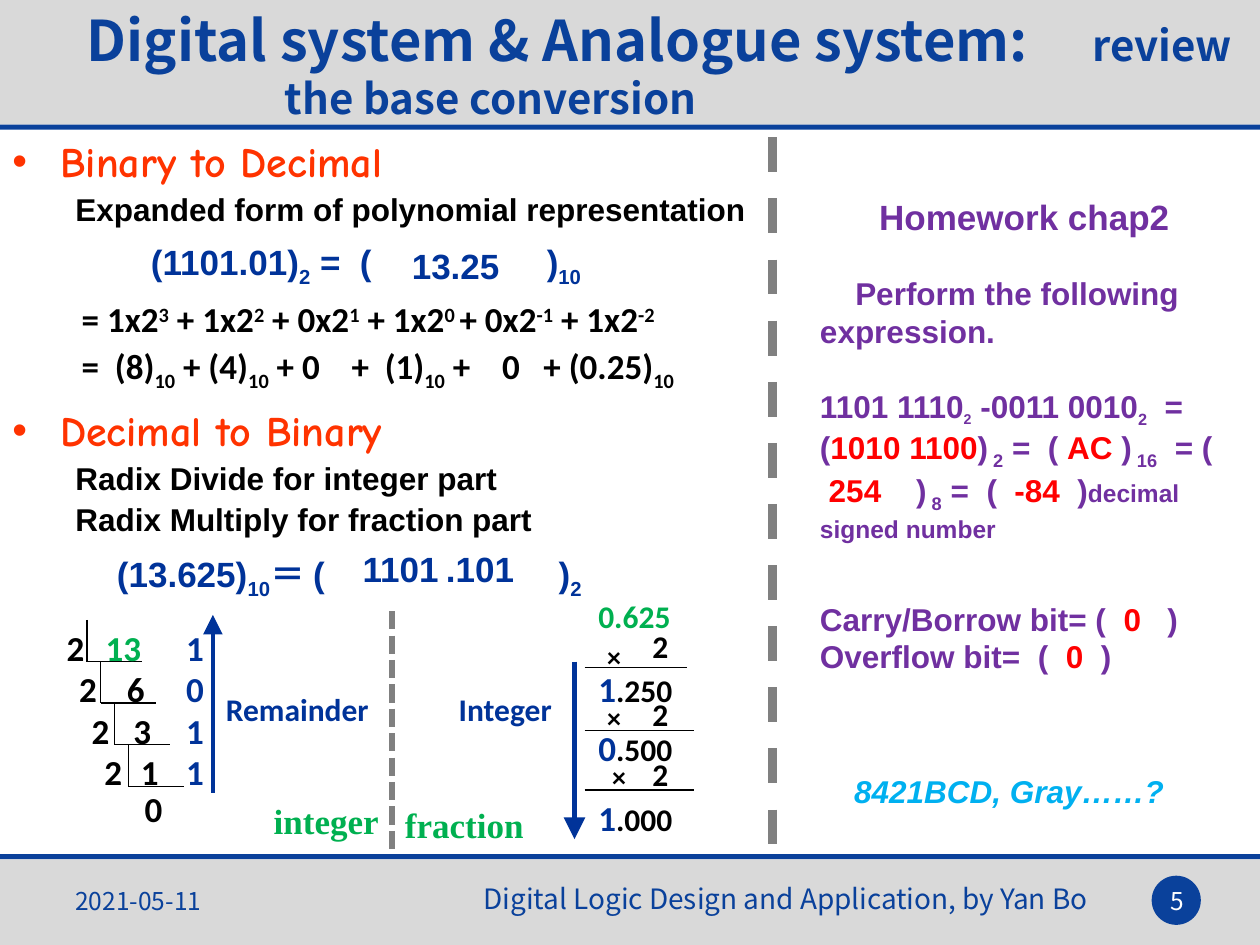
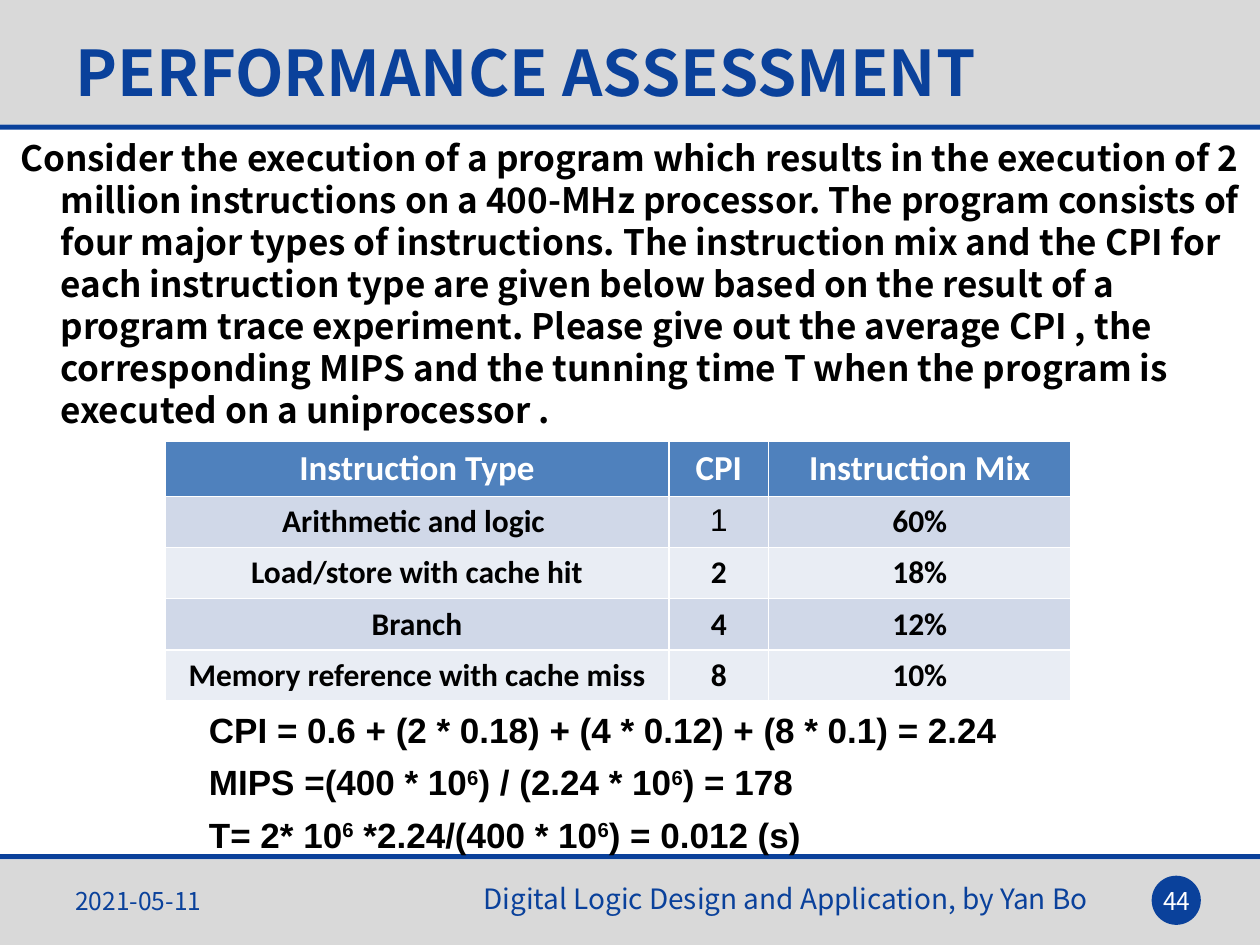
from pptx import Presentation
from pptx.dml.color import RGBColor
from pptx.enum.dml import MSO_LINE as Dash
from pptx.enum.shapes import MSO_CONNECTOR as Link, MSO_SHAPE as Form
from pptx.enum.text import MSO_ANCHOR as Anchor, MSO_AUTO_SIZE as Fit, PP_ALIGN as Align
from pptx.oxml.ns import qn
from pptx.util import Inches, Pt
from lxml.etree import SubElement

HUES = {
    "band": "D9D9D9", "brand": "0A419B", "navy": "003399", "orange": "FF3300",
    "green": "00B050", "purple": "7030A0", "red": "FF0000", "sky": "00B0F0",
    "gray": "808080", "black": "000000", "white": "FFFFFF",
    "head": "4F81BD", "odd": "D0D8E8", "even": "E9EDF4",
}
SANS, NOTO, CALI, COMIC, TIMES = (
    "Arial", "Noto Sans CJK SC", "Calibri", "Comic Neue", "Times New Roman")
MARKS = {
    "^": {"base": 30}, "_": {"base": -25}, "!": {"color": "red"},
    "~": {"size": 14}, "$": {"size": 16}, "*": {"size": 24},
    "@": {"size": 18, "color": "black"},
}


def hue(name):
    return RGBColor.from_string(HUES[name])


def write(par, text, size=18, color="black", font=SANS, bold=True, italic=False,
          align=Align.LEFT, space=None, before=0, left=0, indent=0,
          bullet=None, gaps=()):
    """Fill a paragraph with runs split at "|".

    Leading MARKS change a run's format, "#" is a space widened by the next
    of the gaps (points), and "/" is a line break.
    """
    par.alignment, par.space_before = align, Pt(before)
    if space:
        par.line_spacing = space
    props = par._p.get_or_add_pPr()
    props.set("marL", str(Inches(left)))
    props.set("indent", str(Inches(indent)))
    if bullet:
        SubElement(props, qn("a:buFont"), typeface=SANS)
        SubElement(props, qn("a:buChar"), char=bullet)
    else:
        SubElement(props, qn("a:buNone"))
    widths = iter(gaps)
    for piece in text.replace("#", "|#|").split("|"):
        if piece == "/":
            par.add_line_break()
        if piece in ("", "/"):
            continue
        look = {"size": size, "color": color, "base": 0}
        while piece[0] in MARKS:
            look.update(MARKS[piece[0]])
            piece = piece[1:]
        run = par.add_run()
        run.text = " " if piece == "#" else piece
        face = run.font
        face.name, face.size = font, Pt(look["size"])
        face.bold, face.italic = bold, italic
        face.color.rgb = hue(look["color"])
        if look["base"]:
            face._element.set("baseline", str(look["base"] * 1000))
        if piece == "#":
            face._element.set("spc", str(round(next(widths) * 100)))


class Deck:
    def __init__(self):
        self.show = Presentation()
        self.show.slide_width, self.show.slide_height = Inches(10), Inches(7.5)
        self.page = None

    def start(self, layout, number):
        """Add a slide with the bands and the footer behind its placeholders."""
        self.page = self.show.slides.add_slide(self.show.slide_layouts[layout])
        self.block(0, 6.82, 10, 0.68, "band")
        self.block(0, 0, 10, 0.99, "band")
        self.block(9.14, 6.95, 0.39, 0.39, "brand", Form.OVAL)
        self.block(0, 0.99, 10, 0.04, "brand")
        self.block(0, 6.78, 10, 0.04, "brand")
        foot = {"font": NOTO, "bold": False, "color": "brand"}
        self.text(3.74, 6.95, 5.28, 0.55,
                  "Digital Logic Design and Application, by Yan Bo", size=16, **foot)
        foot.update(size=14, anchor=Anchor.MIDDLE)
        self.text(0.5, 6.95, 2.33, 0.4, "2021-05-11", **foot)
        foot.update(color="white", align=Align.CENTER)
        self.text(9.1, 6.95, 0.48, 0.4, str(number), **foot)
        for holder in list(self.page.placeholders):
            self.page.shapes._spTree.append(holder._element)

    def block(self, x, y, w, h, fill, form=Form.RECTANGLE):
        shape = self.page.shapes.add_shape(form, Inches(x), Inches(y), Inches(w), Inches(h))
        shape.shadow.inherit = False
        shape.fill.solid()
        shape.fill.fore_color.rgb = hue(fill)
        shape.line.fill.background()

    def fill(self, shape, lines, anchor=Anchor.TOP, wrap=True, **form):
        """Write lines, each a text or a (text, format) pair, into a shape."""
        frame = shape.text_frame
        frame.word_wrap, frame.auto_size = wrap, Fit.NONE
        frame.vertical_anchor = anchor
        for i, line in enumerate([lines] if isinstance(lines, str) else lines):
            text, own = (line, {}) if isinstance(line, str) else line
            par = frame.add_paragraph() if i else frame.paragraphs[0]
            write(par, text, **{**form, **own})

    def text(self, x, y, w, h, lines, **form):
        box = self.page.shapes.add_textbox(Inches(x), Inches(y), Inches(w), Inches(h))
        self.fill(box, lines, **form)

    def holder(self, index, x, y, w, h, lines, **form):
        """Move and fill a placeholder of the layout."""
        shape = self.page.placeholders[index]
        shape.left, shape.top = Inches(x), Inches(y)
        shape.width, shape.height = Inches(w), Inches(h)
        self.fill(shape, lines, font=NOTO, **form)

    def title(self, x, y, w, h, text, size, **form):
        self.holder(0, x, y, w, h, text, size=size, color="brand",
                    anchor=Anchor.MIDDLE, **form)

    def line(self, x1, y1, x2, y2, color="black", width=0.75, dash=None, arrow=False):
        link = self.page.shapes.add_connector(
            Link.STRAIGHT, Inches(x1), Inches(y1), Inches(x2), Inches(y2))
        link.line.color.rgb, link.line.width = hue(color), Pt(width)
        if dash:
            link.line.dash_style = dash
        props = link._element.spPr
        if arrow:
            SubElement(props.find(qn("a:ln")), qn("a:tailEnd"),
                       type="triangle", w="lg", len="lg")
        SubElement(props, qn("a:effectLst"))

    def table(self, x, y, widths, heights, rows):
        grid = self.page.shapes.add_table(
            len(rows), len(widths), Inches(x), Inches(y),
            Inches(sum(widths)), Inches(sum(heights))).table
        for col, width in zip(grid.columns, widths):
            col.width = Inches(width)
        for r, (row, height) in enumerate(zip(rows, heights)):
            grid.rows[r].height = Inches(height)
            for c, value in enumerate(row):
                cell = grid.cell(r, c)
                cell.fill.solid()
                cell.fill.fore_color.rgb = hue(
                    "head" if r == 0 else "odd" if r % 2 else "even")
                plain = (r, c) == (1, 1)
                write(cell.text_frame.paragraphs[0], value, align=Align.CENTER,
                      size=18 if r else 20, color="black" if r else "white",
                      font=SANS if plain else CALI, bold=not plain)


def divide(deck):
    """Repeated division by two, with the remainders read upwards."""
    digit = {"size": 20, "font": CALI}
    steps = [("13", 0.74, "1"), ("6", 0.91, "0"), ("3", 0.96, "1"), ("1", 1.02, "1")]
    for i, (value, left, rest) in enumerate(steps):
        x, y = 0.69 + 0.11 * i, 4.92 + 0.33 * i
        deck.line(x, y, x, y + 0.33)
        deck.line(x, y + 0.33, x + 0.44, y + 0.33)
        deck.text(0.43 + 0.1 * i, y, 0.5, 0.44, "2", **digit)
        deck.text(left, y, 0.63, 0.44, value, color="black" if i else "green", **digit)
        deck.text(1.38, y, 0.5, 0.44, rest, color="navy", **digit)
    deck.text(1.05, 6.2, 0.5, 0.44, "0", **digit)
    deck.line(1.69, 6.29, 1.69, 4.88, "navy", 2.25, arrow=True)


def multiply(deck):
    """Repeated doubling, with the integer parts read downwards."""
    deck.text(4.65, 4.69, 0.78, 0.4, "0.625", font=CALI, color="green")
    steps = [(4.93, 4.72, 5.03, 5.3, 5.45, 5.25, "1|@.250"),
             (5.47, 4.72, 5.51, 5.8, 5.51, 5.72, "0|@.500"),
             (5.94, 4.76, 5.98, 6.27, 5.51, 6.27, "1|@.000")]
    for two, left, times, rule, end, top, value in steps:
        deck.text(5.08, two, 0.5, 0.4, "2", font=CALI)
        deck.text(left, times, 0.49, 0.37, "×", size=16, font=CALI)
        deck.line(4.64, rule, end, rule)
        deck.text(4.65, top, 0.99, 0.44, value, size=20, font=CALI, color="navy")
    deck.line(4.56, 5.25, 4.56, 6.66, "navy", 2.5, arrow=True)


def bases(deck):
    deck.start(5, 5)
    deck.title(0.59, 0.05, 9.41, 0.92,
               "Digital system & Analogue system:#*review the base conversion".replace(
                   "#*", "#|*"), 32, left=1.57, indent=-1.57, gaps=[29])

    head = {"size": 24, "font": COMIC, "color": "orange", "bullet": "•",
            "left": 0.38, "indent": -0.38}
    sub = {"left": 0.5}
    deck.text(0, 0.99, 6.34, 0.88, [
        ("Binary to Decimal", head),
        ("Expanded form of polynomial representation", sub)], space=1.1)
    deck.text(0, 3.12, 5.87, 1.21, [
        ("Decimal to Binary", head),
        ("Radix Divide for integer part", sub),
        ("Radix Multiply for fraction part", sub)], space=1.1)

    blue = {"size": 20, "color": "navy"}
    deck.text(1.1, 1.86, 3.74, 0.44, "(1101.01)|_2| =#(#)|_10", gaps=[5.5, 94.5], **blue)
    deck.text(3.17, 1.89, 0.9, 0.44, "13.25", wrap=False, **blue)
    deck.text(0.55, 2.28, 5.39, 0.84, [
        "= 1x2|^3| + 1x2|^2| + 0x2|^1| + 1x2|^0 |+ 0x2|^-1| + 1x2|^-2",
        ("=#(8)|_10| + (4)|_10| + 0#+#(1)|_10| +#0#+ (0.25)|_10",
         {"gaps": [4.5, 13.5, 4.5, 13.5, 9]})], size=20, font=CALI, space=1.1)
    deck.text(0.83, 4.3, 4.57, 0.47, "(13.625)|_10|＝ (#)|_2", space=1.1, gaps=[128], **blue)
    deck.text(2.78, 4.3, 0.81, 0.44, "1101", wrap=False, **blue)
    deck.text(3.44, 4.3, 0.75, 0.44, ".101", wrap=False, **blue)

    divide(deck)
    multiply(deck)
    tag = {"wrap": False, "align": Align.CENTER}
    for x, y, w, word in [(2.07, 6.32, 1.04, "integer"), (3.11, 6.35, 1.15, "fraction")]:
        deck.text(x, y, w, 0.42, word, size=20, font=TIMES, color="green", space=0.95, **tag)
    for x, w, word in [(1.69, 1.34, "Remainder"), (3.54, 0.94, "Integer")]:
        deck.text(x, 5.4, w, 0.42, word, font=CALI, color="navy", space=1.1, **tag)
    deck.line(3.11, 4.85, 3.11, 6.74, "gray", 3.5, Dash.SQUARE_DOT)
    deck.line(6.13, 1.09, 6.13, 6.75, "gray", 5, Dash.DASH)

    deck.text(6.41, 1.52, 3.44, 3.87, [
        ("Homework chap2", {"size": 20, "align": Align.CENTER}),
        ("Perform the following expression.", {"before": 21, "indent": 0.28}),
        ("1101 1110|~_2| -0011 0010|$_2|#= (|!1010 1100|)|_ 2| =#( |!AC| )|_ 16|#= (|/"
         "| |!254|#)|_ 8| =#(#|!-84|#)|~decimal signed number",
         {"before": 21, "gaps": [5, 5, 5, 15, 5, 5, 5]}),
        ("Carry/Borrow bit= (#|!0|#)", {"before": 32, "gaps": [5, 10]}),
        ("Overflow bit=#(#|!0|#)", {"gaps": [5, 5, 5]}),
    ], color="purple", anchor=Anchor.MIDDLE)
    deck.text(6.68, 6.08, 2.68, 0.4, "8421BCD, Gray……?", color="sky", italic=True, wrap=False)


def speed(deck):
    deck.start(1, 44)
    deck.title(0.5, 0.19, 9, 0.75, "PERFORMANCE ASSESSMENT", 36)
    deck.holder(1, 0, 1.03, 10, 2.38, (
        "Consider the execution of a program which results in the execution of 2 million "
        "instructions on a 400-MHz processor. The program consists of four major types of "
        "instructions. The instruction mix and the CPI for each instruction type are given "
        "below based on the result of a program trace experiment. Please give out the "
        "average CPI , the corresponding MIPS and the tunning time T when the program is "
        "executed on a uniprocessor ."), size=20, space=1.0, left=0.38, indent=-0.32)
    deck.table(1.31, 3.5, [4, 0.79, 2.4], [0.38] + [0.4] * 4, [
        ("Instruction Type", "CPI", "Instruction Mix"),
        ("Arithmetic and logic ", "1", "60%"),
        ("Load/store with cache hit", "2", "18%"),
        ("Branch", "4", "12%"),
        ("Memory reference with cache miss", "8", "10%")])
    deck.text(1.56, 5.57, 7.19, 1.28, [
        "CPI = 0.6 + (2 * 0.18) + (4 * 0.12) + (8 * 0.1) = 2.24",
        "MIPS =(400 * 10|^6|) / (2.24 * 10|^6|) = 178",
        "T= 2* 10|^6| *2.24/(400 * 10|^6|) = 0.012 (s)"], size=20, before=6)


def main():
    deck = Deck()
    bases(deck)
    speed(deck)
    deck.show.save("out.pptx")


if __name__ == "__main__":
    main()
